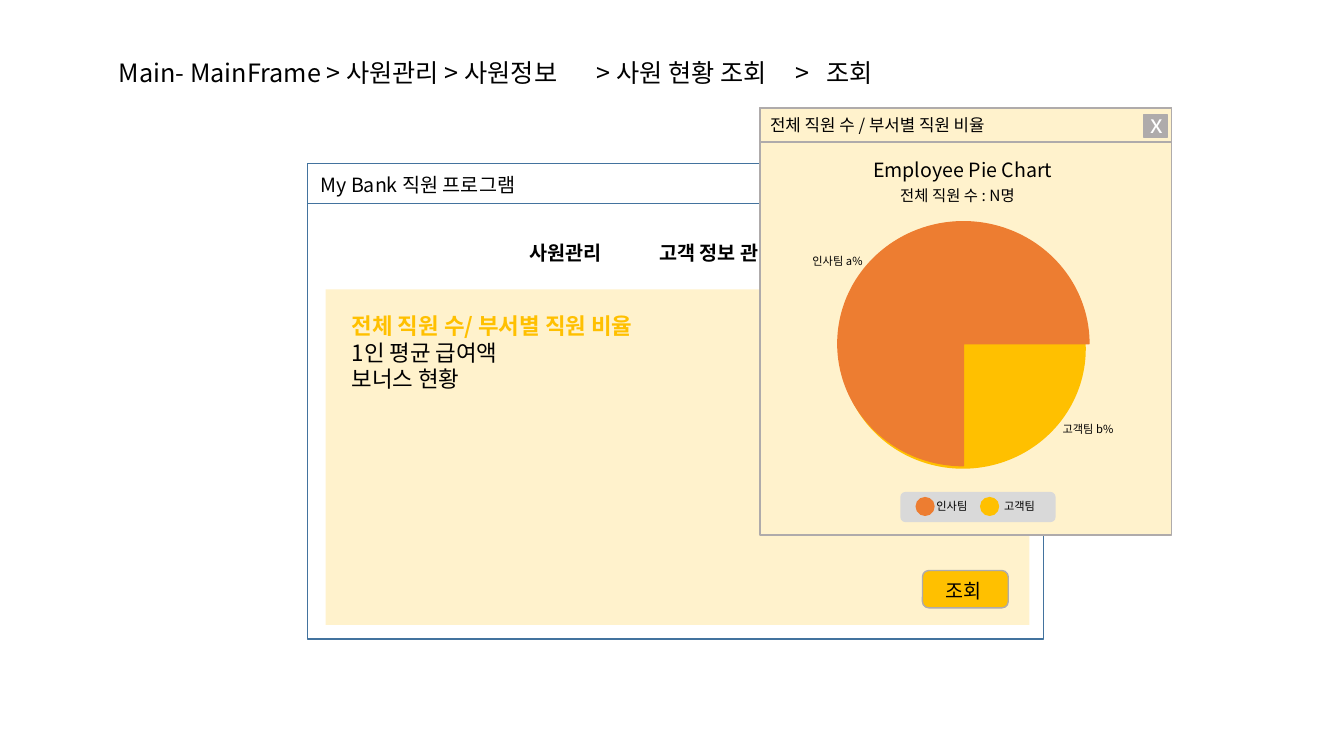
from dataclasses import dataclass
from typing import Optional

import lxml.etree
import pptx
import pptx.dml.color
import pptx.enum.shapes
import pptx.oxml.ns
import pptx.slide
import pptx.util

RGBColor = pptx.dml.color.RGBColor
Kind = pptx.enum.shapes.MSO_SHAPE

BLACK = RGBColor(0x00, 0x00, 0x00)
WHITE = RGBColor(0xFF, 0xFF, 0xFF)
BLUE = RGBColor(0x43, 0x73, 0x9E)
CREAM = RGBColor(0xFF, 0xF2, 0xCC)
AMBER = RGBColor(0xFF, 0xC0, 0x00)
ORANGE = RGBColor(0xED, 0x7D, 0x31)
GREY = RGBColor(0xAF, 0xAB, 0xAB)
SILVER = RGBColor(0xD9, 0xD9, 0xD9)

FONT = "Noto Sans CJK KR"
SLIDE_WIDTH = pptx.util.Inches(13.33)
SLIDE_HEIGHT = pptx.util.Inches(7.5)
LINE_HEIGHT = 1.2


@dataclass(frozen=True)
class Area:
    """Percentages of the slide's width and height."""
    left: float
    top: float
    width: float
    height: float

    def emu(self) -> tuple[int, int, int, int]:
        return (
            round(SLIDE_WIDTH * self.left / 100),
            round(SLIDE_HEIGHT * self.top / 100),
            round(SLIDE_WIDTH * self.width / 100),
            round(SLIDE_HEIGHT * self.height / 100),
        )


@dataclass(frozen=True)
class Panel:
    area: Area
    fill: Optional[RGBColor] = None
    outline: Optional[RGBColor] = None
    kind: Kind = Kind.RECTANGLE
    angles: tuple[int, ...] = ()


@dataclass(frozen=True)
class Line:
    text: str
    size: int
    color: RGBColor = BLACK
    bold: bool = False
    tab_stops: tuple[float, ...] = ()


@dataclass(frozen=True)
class Label:
    area: Area
    lines: tuple[Line, ...]


@dataclass(frozen=True)
class Team:
    name: str
    color: RGBColor
    dot_left: float
    name_left: float


MAIN_WINDOW = (
    Panel(Area(22.88, 21.6, 54.76, 62.93), outline=BLUE),
    Panel(Area(22.88, 21.6, 54.76, 5.33), outline=BLUE),
    Label(Area(23.11, 22.13, 35.71, 4.53), (Line("My Bank 직원 프로그램", 14),)),
    Label(Area(38.63, 31.2, 10.35, 4.53), (Line("사원관리", 14, bold=True),)),
    Label(Area(48.31, 31.2, 12.3, 4.53), (Line("고객 정보 관리", 14, bold=True),)),
    Panel(Area(24.23, 38.27, 52.36, 44.4), CREAM),
    Panel(Area(68.64, 75.47, 6.38, 4.93), AMBER, GREY, Kind.ROUNDED_RECTANGLE),
    Label(Area(69.62, 75.87, 5.4, 4.53), (Line("조회", 14),)),
    Label(Area(8.1, 6.8, 69.54, 5.33), (
        Line("Main- MainFrame > 사원관리 > 사원정보\t> 사원 현황 조회\t>\t조회", 18,
             tab_stops=(4.74, 6.71, 7.02)),
    )),
    Label(Area(25.43, 40.67, 31.21, 12.13), (
        Line("전체 직원 수/ 부서별 직원 비율", 16, AMBER, True),
        Line("1인 평균 급여액", 16),
        Line("보너스 현황", 16),
    )),
)

CHART_WINDOW = (
    Panel(Area(56.56, 14.27, 30.61, 56.53), CREAM, GREY),
    Panel(Area(56.56, 14.27, 30.61, 4.53), outline=GREY),
    Label(Area(56.56, 14.53, 20.03, 4), (Line("전체 직원 수 / 부서별 직원 비율", 12),)),
    Label(Area(64.22, 20.13, 17.7, 4.53), (Line("Employee Pie Chart", 14),)),
    Label(Area(66.24, 24, 16.13, 3.87), (Line("전체 직원 수 : N명", 11),)),
    Panel(Area(62.49, 30.27, 18.3, 31.73), AMBER, kind=Kind.OVAL),
    Panel(Area(62.34, 29.33, 18.68, 32.27), ORANGE, ORANGE, Kind.PIE, (90, 0)),
    Panel(Area(66.99, 65.07, 11.55, 4), SILVER, kind=Kind.ROUNDED_RECTANGLE),
)

TEAMS = (
    Team("인사팀", ORANGE, 68.12, 68.94),
    Team("고객팀", AMBER, 72.92, 73.97),
)

LEGEND = tuple(
    part
    for team in TEAMS
    for part in (
        Panel(Area(team.dot_left, 65.73, 1.43, 2.53), team.color, kind=Kind.OVAL),
        Label(Area(team.name_left, 65.33, 4.13, 3.2), (Line(team.name, 8),)),
    )
)

SHARES_AND_CLOSE = (
    Label(Area(78.32, 55.07, 5.93, 3.2), (Line("고객팀 b%", 8),)),
    Label(Area(59.71, 32.93, 6.38, 3.2), (Line("인사팀 a%", 8),)),
    Panel(Area(85.07, 15.2, 1.8, 2.93), GREY, GREY),
    Label(Area(84.85, 13.6, 1.8, 5.33), (Line("x", 18, WHITE),)),
)


def draw_panel(slide: pptx.slide.Slide, panel: Panel) -> None:
    shape = slide.shapes.add_shape(panel.kind, *panel.area.emu())
    shape.shadow.inherit = False
    for index, angle in enumerate(panel.angles):
        shape.adjustments[index] = angle * 60000 / 100000
    if panel.fill is None:
        shape.fill.background()
    else:
        shape.fill.solid()
        shape.fill.fore_color.rgb = panel.fill
    if panel.outline is None:
        shape.line.fill.background()
    else:
        shape.line.color.rgb = panel.outline
        shape.line.width = pptx.util.Pt(1)


def draw_label(slide: pptx.slide.Slide, label: Label) -> None:
    frame = slide.shapes.add_textbox(*label.area.emu()).text_frame
    frame.word_wrap = True
    qn = pptx.oxml.ns.qn
    for index, line in enumerate(label.lines):
        paragraph = frame.add_paragraph() if index else frame.paragraphs[0]
        paragraph.text = line.text
        paragraph.line_spacing = pptx.util.Pt(round(line.size * LINE_HEIGHT))
        properties = paragraph._p.get_or_add_pPr()
        if line.tab_stops:
            tabs = lxml.etree.SubElement(properties, qn("a:tabLst"))
            for stop in line.tab_stops:
                lxml.etree.SubElement(
                    tabs, qn("a:tab"), pos=str(pptx.util.Inches(stop)), algn="l")
        font = paragraph.font
        font.name = FONT
        font.size = pptx.util.Pt(line.size)
        font.bold = line.bold
        font.color.rgb = line.color
        lxml.etree.SubElement(
            properties.find(qn("a:defRPr")), qn("a:ea"), typeface=FONT)


def main() -> None:
    presentation = pptx.Presentation()
    presentation.slide_width = SLIDE_WIDTH
    presentation.slide_height = SLIDE_HEIGHT
    slide = presentation.slides.add_slide(presentation.slide_layouts[6])
    for part in MAIN_WINDOW + CHART_WINDOW + LEGEND + SHARES_AND_CLOSE:
        if isinstance(part, Panel):
            draw_panel(slide, part)
        else:
            draw_label(slide, part)
    presentation.save("out.pptx")


if __name__ == "__main__":
    main()
